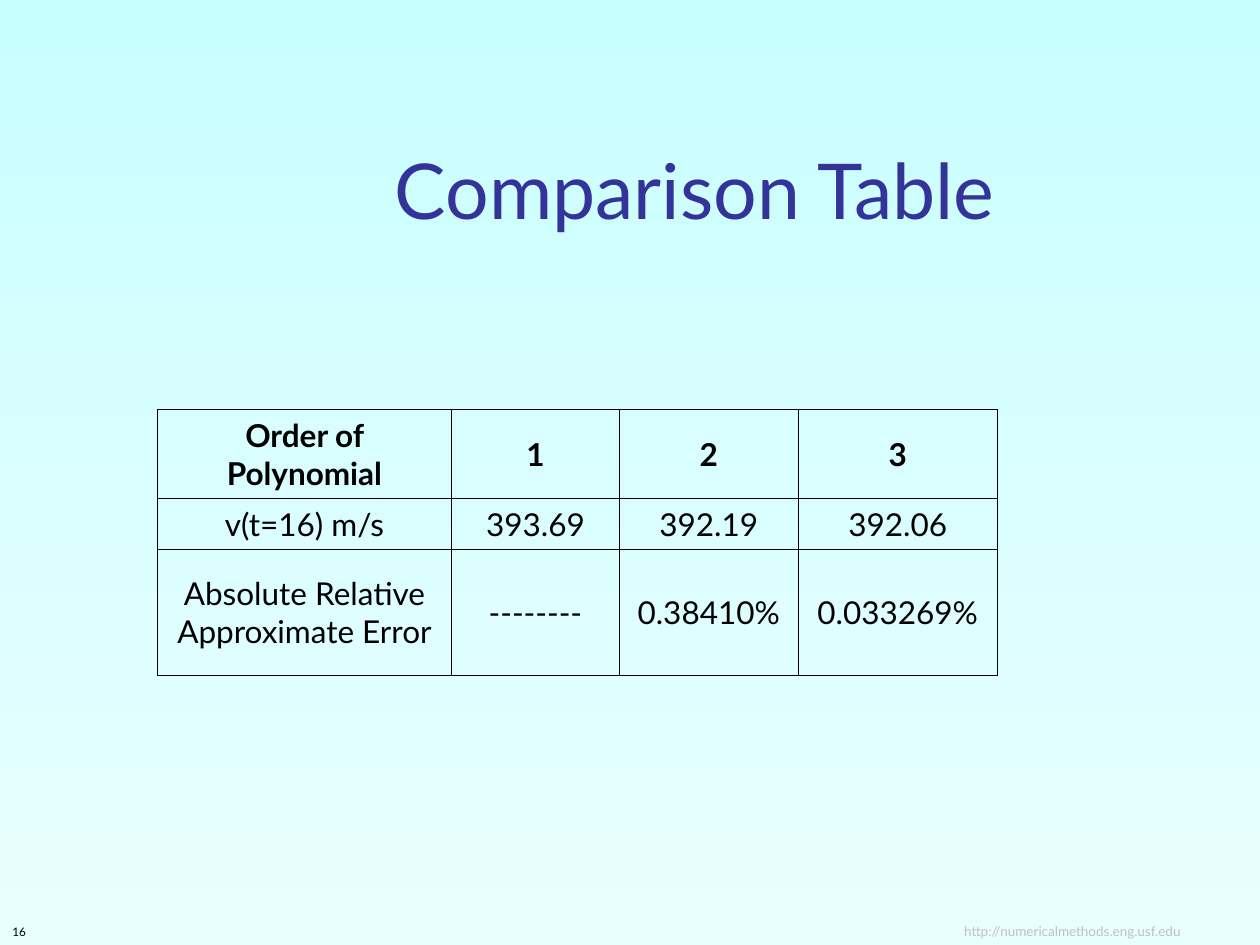
"""Build a slide comparing velocity estimates by polynomial order."""
import pptx
import pptx.util
import pptx.dml.color
import pptx.enum.text
import pptx.oxml
import pptx.oxml.ns

COLORS = {
    "sky": "C9FEFF",
    "mist": "E9FEFF",
    "title": "333399",
    "ink": "000000",
    "footer": "C0C0C0",
}
FONT = "Lato"
ALIGN = pptx.enum.text.PP_ALIGN
ANCHOR = pptx.enum.text.MSO_ANCHOR

deck = pptx.Presentation()
deck.slide_width = pptx.util.Inches(10)
deck.slide_height = pptx.util.Inches(7.5)
column = deck.slide_width / 120
row = deck.slide_height / 90
slide = deck.slides.add_slide(deck.slide_layouts[6])

backdrop = slide.background.fill
backdrop.gradient()
backdrop.gradient_angle = 270
for stop, shade in zip(backdrop.gradient_stops, ("sky", "mist")):
    stop.color.rgb = pptx.dml.color.RGBColor.from_string(COLORS[shade])


def grid(left, top, width, height):
    return int(left * column), int(top * row), int(width * column), int(height * row)


def write(frame, text, size, color, align, bold=False):
    frame.word_wrap = True
    paragraph = frame.paragraphs[0]
    paragraph.alignment = align
    run = paragraph.add_run()
    run.text = text
    run.font.name = FONT
    run.font.size = pptx.util.Pt(size)
    run.font.bold = bold
    run.font.color.rgb = pptx.dml.color.RGBColor.from_string(COLORS[color])


captions = [
    ("http://numericalmethods.eng.usf.edu", (70, 87, 50, 3), 7.7, "footer", ALIGN.RIGHT, 7.6),
    ("16", (0, 87, 25, 3), 6.7, "ink", ALIGN.LEFT, 1.2),
    ("Comparison Table", (15.1, 8, 102.2, 15), 44, "title", ALIGN.CENTER, 1.2),
]
for text, area, size, color, align, right_margin in captions:
    caption = slide.shapes.add_textbox(*grid(*area)).text_frame
    caption.vertical_anchor = ANCHOR.BOTTOM
    caption.margin_right = int(right_margin * column)
    write(caption, text, size, color, align)

results = [
    ["Order of Polynomial", "1", "2", "3"],
    ["v(t=16) m/s", "393.69", "392.19", "392.06"],
    ["Absolute Relative Approximate Error", "--------", "0.38410%", "0.033269%"],
]
column_spans = [28, 16, 17, 19]
row_spans = [8.5, 4.8, 12]
comparison = slide.shapes.add_table(
    len(row_spans), len(column_spans),
    *grid(15, 39, sum(column_spans), sum(row_spans))).table
comparison.first_row = False
comparison.horz_banding = False
for table_column, span in zip(comparison.columns, column_spans):
    table_column.width = int(span * column)
for table_row, span in zip(comparison.rows, row_spans):
    table_row.height = int(span * row)

for r, values in enumerate(results):
    for c, value in enumerate(values):
        cell = comparison.cell(r, c)
        cell.vertical_anchor = ANCHOR.MIDDLE
        write(cell.text_frame, value, 18, "ink", ALIGN.CENTER, bold=r == 0)
        for side in "LRTB":
            cell._tc.get_or_add_tcPr().append(pptx.oxml.parse_xml(
                f'<a:ln{side} {pptx.oxml.ns.nsdecls("a")} w="{int(pptx.util.Pt(0.45))}">'
                f'<a:solidFill><a:srgbClr val="{COLORS["ink"]}"/></a:solidFill></a:ln{side}>'))
        cell.fill.background()

deck.save("out.pptx")
